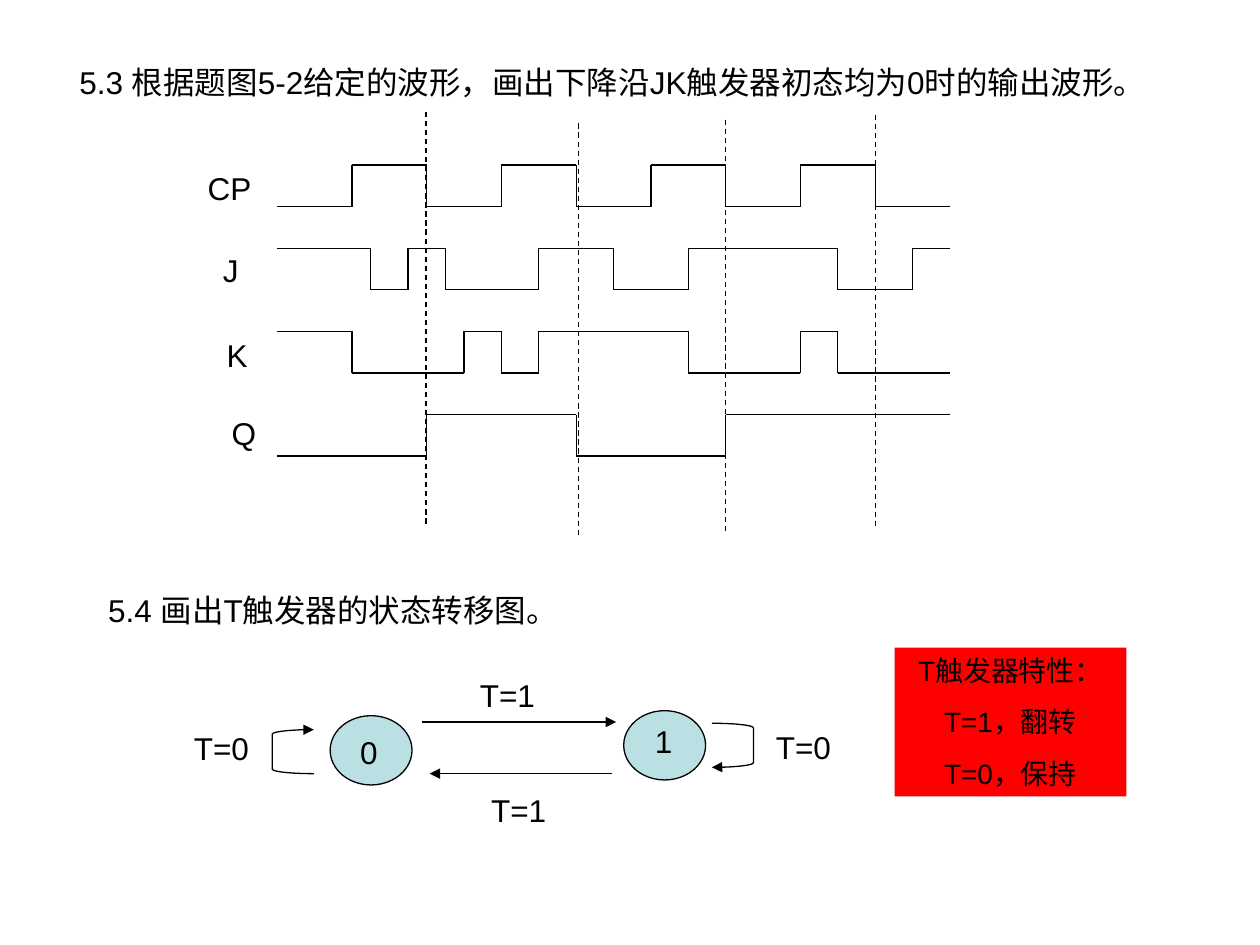
from itertools import pairwise

from lxml import etree
from pptx import Presentation
from pptx import util as u
from pptx.dml.color import RGBColor
from pptx.enum import dml, shapes, text
from pptx.oxml.ns import qn

BLACK = RGBColor(0x00, 0x00, 0x00)
PALE_BLUE = RGBColor(0xBB, 0xE0, 0xE3)
RED = RGBColor(0xFF, 0x00, 0x00)

# Timing diagram: 18 equal time steps, one row per signal
WAVE_LEFT, WAVE_TOP, WAVE_WIDTH = 2.2, 1.31, 5.34
STEP = WAVE_WIDTH / 18
ROW_PITCH, SWING = 0.66, 0.33


class SlideBuilder:
    font_name = "Arial"
    font_size = 18
    line_width = 0.75

    def __init__(self, slide):
        self.slide = slide
        self.target = slide.shapes

    def start_group(self):
        self.target = self.slide.shapes.add_group_shape().shapes

    def end_group(self):
        self.target = self.slide.shapes

    def set_text(self, shape, lines, size=None, align=text.PP_ALIGN.LEFT, gap=0):
        frame = shape.text_frame
        frame.word_wrap = True
        frame.auto_size = text.MSO_AUTO_SIZE.SHAPE_TO_FIT_TEXT
        frame.vertical_anchor = text.MSO_ANCHOR.TOP
        frame.text = "\n".join(lines)
        for index, paragraph in enumerate(frame.paragraphs):
            paragraph.alignment = align
            paragraph.space_before = u.Pt(gap if index else 0)
            paragraph.font.name = self.font_name
            paragraph.font.size = u.Pt(size or self.font_size)
            paragraph.font.color.rgb = BLACK

    def title(self, words, left, top, width, height):
        shape = self.slide.shapes.title
        shape.left, shape.top = u.Inches(left), u.Inches(top)
        shape.width, shape.height = u.Inches(width), u.Inches(height)
        self.set_text(shape, [words])

    def label(self, words, left, top, width):
        box = self.target.add_textbox(
            u.Inches(left), u.Inches(top), u.Inches(width), u.Inches(0.4))
        self.set_text(box, [words])

    def outline(self, shape, arrow=False):
        shape.line.color.rgb = BLACK
        shape.line.width = u.Pt(self.line_width)
        if arrow:
            line = shape._element.spPr.find(qn("a:ln"))
            etree.SubElement(line, qn("a:tailEnd"), type="triangle")

    def line(self, start, end, dashed=False, arrow=False):
        connector = self.target.add_connector(
            shapes.MSO_CONNECTOR.STRAIGHT, *map(u.Inches, (*start, *end)))
        if dashed:
            connector.line.dash_style = dml.MSO_LINE.DASH
        self.outline(connector, arrow)
        etree.SubElement(connector._element.spPr, qn("a:effectLst"))

    def shape(self, kind, left, top, width, height, fill=None):
        shape = self.target.add_shape(kind, *map(u.Inches, (left, top, width, height)))
        shape.shadow.inherit = False
        if fill is None:
            shape.fill.background()
        else:
            shape.fill.solid()
            shape.fill.fore_color.rgb = fill
        return shape

    def state(self, left, top):
        self.outline(self.shape(shapes.MSO_SHAPE.OVAL, left, top, 0.65, 0.55, PALE_BLUE))

    def loop(self, left, top, rotation=0):
        bracket = self.shape(shapes.MSO_SHAPE.RIGHT_BRACKET, left, top, 0.33, 0.35)
        bracket.adjustments[0] = 0.11
        bracket.rotation = rotation
        self.outline(bracket, arrow=True)

    def note(self, lines, left, top, width, height):
        box = self.shape(shapes.MSO_SHAPE.RECTANGLE, left, top, width, height, RED)
        box.line.fill.background()
        self.set_text(box, lines, size=16, align=text.PP_ALIGN.CENTER, gap=10)

    def waveform(self, row, starts_high, toggles):
        high = WAVE_TOP + row * ROW_PITCH
        low = high + SWING
        level = high if starts_high else low
        for begin, end in pairwise([0, *toggles, 18]):
            x_begin, x_end = WAVE_LEFT + begin * STEP, WAVE_LEFT + end * STEP
            self.line((x_begin, level), (x_end, level))
            if end < 18:
                self.line((x_end, high), (x_end, low))
            level = high + low - level


def main():
    presentation = Presentation()
    presentation.slide_width, presentation.slide_height = u.Inches(10), u.Inches(7.5)
    builder = SlideBuilder(presentation.slides.add_slide(presentation.slide_layouts[5]))

    # Question 5.3
    builder.title("5.3 根据题图5-2给定的波形，画出下降沿JK触发器初态均为0时的输出波形。",
                  0.53, 0.45, 8.85, 0.4)

    # Waveforms, falling clock edges and signal names
    builder.start_group()
    signals = [
        (False, range(2, 17, 2)),
        (True, [2.5, 3.5, 4.5, 7, 9, 11, 15, 17]),
        (True, [2, 5, 6, 7, 11, 14, 15]),
        (False, [4, 8, 12]),
    ]
    for row, (starts_high, toggles) in enumerate(signals):
        builder.waveform(row, starts_high, toggles)
    for x, top in [(3.38, 0.89), (4.59, 0.98), (5.76, 0.95), (6.95, 0.91)]:
        builder.line((x, top), (x, top + 3.28), dashed=True)
    for name, left, top, width in [("CP", 1.55, 1.29, 0.67), ("J", 1.67, 1.94, 0.44),
                                   ("K", 1.7, 2.62, 0.38), ("Q", 1.74, 3.24, 0.41)]:
        builder.label(name, left, top, width)
    builder.end_group()

    # Question 5.4
    builder.label("5.4 画出T触发器的状态转移图。", 0.76, 4.64, 6.8)

    # State diagram
    builder.start_group()
    builder.state(2.62, 5.68)
    builder.state(4.95, 5.64)
    builder.line((3.35, 5.73), (4.89, 5.73), arrow=True)
    builder.line((4.86, 6.14), (3.41, 6.14), arrow=True)
    builder.loop(5.65, 5.74)
    builder.loop(2.16, 5.79, rotation=180)
    for words, left, top, width in [
            ("0", 2.76, 5.77, 0.38), ("1", 5.1, 5.68, 0.36),
            ("T=1", 3.71, 5.32, 0.98), ("T=1", 3.8, 6.23, 0.76),
            ("T=0", 6.06, 5.73, 0.67), ("T=0", 1.44, 5.74, 0.71)]:
        builder.label(words, left, top, width)
    builder.end_group()

    # Flip-flop properties
    builder.note(["T触发器特性：", "T=1，翻转", "T=0，保持"], 7.1, 5.14, 1.84, 1.18)

    presentation.save("out.pptx")


if __name__ == "__main__":
    main()
